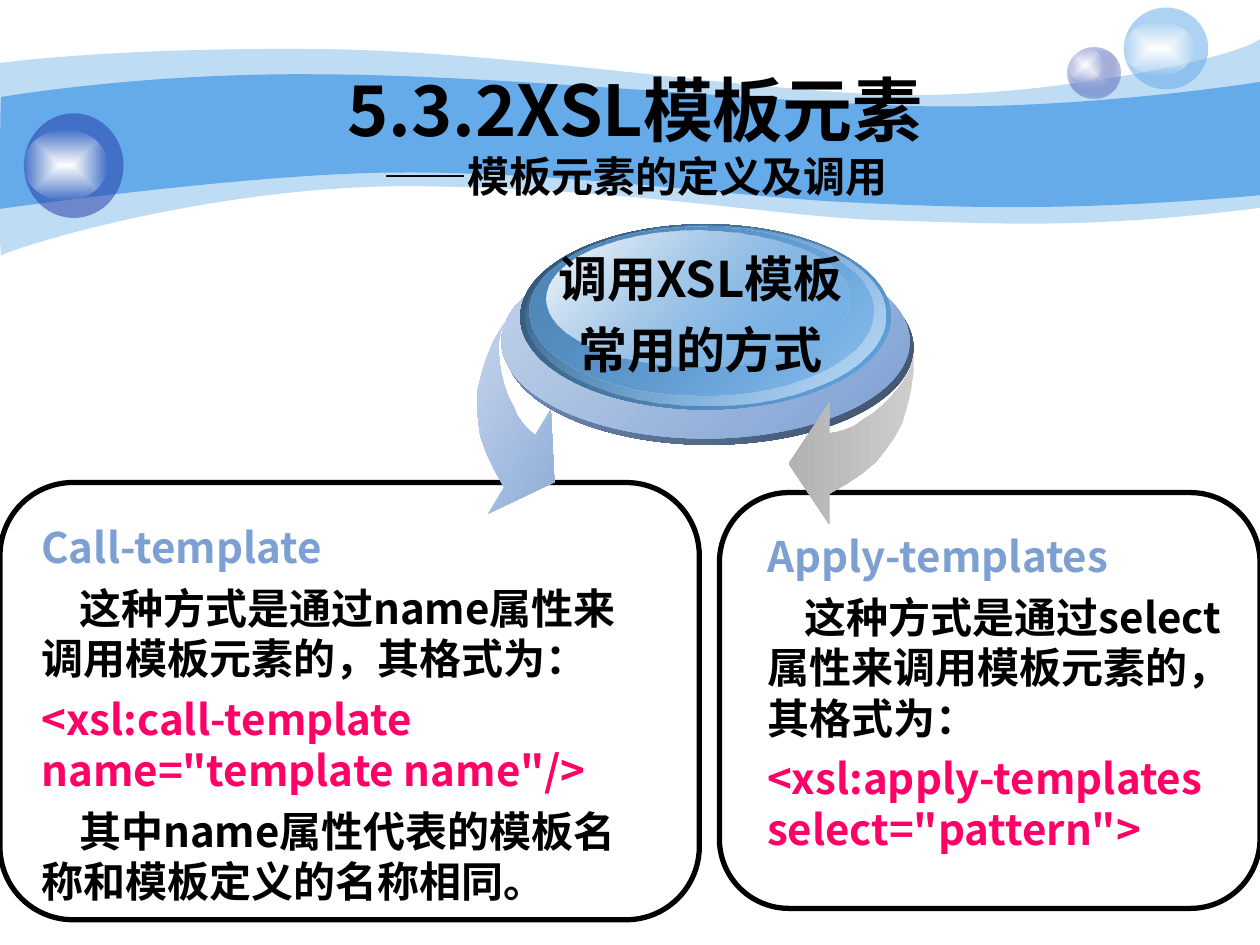
from pptx import Presentation
from pptx.dml.color import RGBColor
from pptx.enum.shapes import MSO_SHAPE as Shape
from pptx.enum.text import MSO_ANCHOR as Anchor, PP_ALIGN as Align
from pptx.oxml import parse_xml
from pptx.oxml.ns import nsdecls, qn
from pptx.util import Inches, Pt

THEME = {
    "font": "Noto Sans CJK SC",
    "sky": "65AAE9", "navy": "233DA9", "lilac": "C6CCE8",
    "white": "FFFFFF", "clear": "FEFEFE", "ink": "000000",
    "heading": "7DA0D3", "code": "FF0066",
    "slate": "3C4D66", "mist": "C4D4EA", "deep": "2E4E6B",
    "pale": "C8E0F6", "steel": "4F86B7", "frost": "D4DFF0",
    "silver": "CDCDCD", "grey": "B2B2B2",
    "title": Pt(40), "lead": Pt(28), "body": Pt(24),
}


def paint(shape, stops, angle=None):
    shape.shadow.inherit = False
    shape.line.fill.background()
    shape.fill.solid()
    colors = [f'<a:srgbClr val="{THEME[name]}"><a:alpha val="{alpha * 1000}"/></a:srgbClr>'
              for name, alpha in stops]
    if len(colors) == 1:
        xml = f'<a:solidFill {nsdecls("a")}>{colors[0]}</a:solidFill>'
    else:
        if angle is None:
            course = ('<a:path path="rect"><a:fillToRect l="50000" t="50000" '
                      'r="50000" b="50000"/></a:path>')
        else:
            course = f'<a:lin ang="{angle * 60000}" scaled="0"/>'
        marks = "".join(f'<a:gs pos="{position}">{color}</a:gs>'
                        for position, color in zip((0, 100000), colors))
        xml = (f'<a:gradFill {nsdecls("a")} rotWithShape="1">'
               f'<a:gsLst>{marks}</a:gsLst>{course}</a:gradFill>')
    properties = shape.element.spPr
    properties.replace(properties.find(qn("a:solidFill")), parse_xml(xml))


def write(para, text, color, size):
    span = para.add_run()
    span.text = text
    for name, value in {"name": THEME["font"], "size": THEME[size], "bold": True}.items():
        setattr(span.font, name, value)
    span.font.color.rgb = RGBColor.from_string(THEME[color])
    asian = parse_xml(f'<a:ea {nsdecls("a")} typeface="{THEME["font"]}"/>')
    span.font._element.find(qn("a:latin")).addnext(asian)


deck = Presentation()
deck.slide_width, deck.slide_height = Inches(10), Inches(7.5)
page = deck.slides.add_slide(deck.slide_layouts[5])
shapes = page.shapes

waves = [
    (41, (0, 0.5), [
        [(0.24, 0.47), (1.07, 0.38), (2.47, 0.39)],
        [(3.86, 0.39), (5.75, 0.7), (6.99, 0.75)],
        [(8.22, 0.8), (9.8, 0.47), (10, 0.31)],
        [(10, 1.65)],
        [(8.58, 1.83), (7.87, 1.77), (7.05, 1.75)],
        [(6.22, 1.73), (5.15, 1.51), (3.43, 1.48)],
        [(1.72, 1.44), (0.04, 1.99), (0.01, 2.03)],
        [(-0.01, 2.08), (0, 0.75), (0, 0.5)]]),
    (100, (0.01, 0.77), [
        [(0.02, 0.77), (1.1, 0.58), (2.48, 0.59)],
        [(3.86, 0.59), (5.95, 0.8), (7.18, 0.84)],
        [(8.41, 0.88), (9.76, 0.69), (10, 0.65)],
        [(10, 1.55)],
        [(8.53, 1.68), (7.65, 1.65), (6.82, 1.61)],
        [(5.99, 1.58), (4.47, 1.36), (3.17, 1.37)],
        [(2.03, 1.37), (-0.02, 1.66), (-0.01, 1.66)],
        [(0, 1.66), (0, 0.77), (0.01, 0.77)]]),
]
for alpha, start, segments in waves:
    builder = shapes.build_freeform(*map(Inches, start))
    builder.add_line_segments([(Inches(x), Inches(y)) for segment in segments
                               for x, y in segment])
    wave = builder.convert_to_shape()
    lines = iter(list(wave.element.iter(qn("a:lnTo"))))
    for segment in segments:
        group = [next(lines) for point in segment]
        if len(group) == 3:
            curve = parse_xml(f'<a:cubicBezTo {nsdecls("a")}/>')
            group[0].addprevious(curve)
            for line in group:
                curve.append(line[0])
                line.getparent().remove(line)
    paint(wave, [("sky", alpha)])

glow = [("white", 100), ("clear", 0)]
ellipses = [
    ((8.47, 0.38, 0.42, 0.4), [("lilac", 100), ("navy", 31)], None),
    ((8.47, 0.38, 0.28, 0.27), glow, None),
    ((8.92, 0.06, 0.67, 0.65), [("sky", 53)], None),
    ((8.92, 0.17, 0.56, 0.43), glow, None),
    ((0.19, 0.9, 0.79, 0.83), [("navy", 53)], None),
    ((0.19, 1.03, 0.66, 0.56), glow, None),
    ((4.01, 1.99, 3.24, 1.54), [("slate", 100), ("heading", 100)], 225),
    ((3.98, 1.94, 3.24, 1.54), [("heading", 100), ("mist", 100)], 225),
    ((4.13, 1.78, 2.94, 1.47), [("sky", 100), ("deep", 100)], 225),
    ((4.17, 1.79, 2.86, 1.43), [("pale", 100), ("sky", 0)], 225),
    ((4.2, 1.8, 2.73, 1.34), [("sky", 48), ("steel", 100)], 225),
    ((4.34, 1.83, 2.4, 1.08), [("sky", 38), ("clear", 100)], 225),
]
for bounds, stops, angle in ellipses:
    paint(shapes.add_shape(Shape.OVAL, *map(Inches, bounds)), stops, angle)

title = shapes.title
title.element.getparent().append(title.element)
title.left, title.top, title.width, title.height = map(Inches, (1, 0.75, 8.08, 0.62))
title.text_frame.vertical_anchor = Anchor.MIDDLE
para = title.text_frame.paragraphs[0]
para.alignment = Align.CENTER
write(para, "5.3.2XSL模板元素", "ink", "title")
para.add_line_break()
write(para, "——模板元素的定义及调用", "ink", "body")

for bounds in ((0, 3.83, 5.55, 3.47), (5.71, 3.91, 4.29, 3.3)):
    panel = shapes.add_shape(Shape.ROUNDED_RECTANGLE, *map(Inches, bounds))
    panel.adjustments[0] = 0.167
    panel.shadow.inherit = False
    panel.fill.background()
    panel.line.color.rgb = RGBColor.from_string(THEME["ink"])
    panel.line.width = Pt(3)

texts = [
    ((4.24, 1.92, 2.64, 1.7), False, Align.CENTER, 7, "lead", [
        ("调用XSL模板", "ink", 0),
        ("常用的方式", "ink", 0)]),
    ((0.23, 4.09, 4.95, 3.15), True, Align.LEFT, 6, "body", [
        ("Call-template", "heading", 0),
        ("这种方式是通过name属性来调用模板元素的，其格式为：", "ink", 0.3),
        ('<xsl:call-template name="template name"/>', "code", 0),
        ("其中name属性代表的模板名称和模板定义的名称相同。", "ink", 0.3)]),
    ((5.99, 4.16, 3.83, 3.07), True, Align.LEFT, 6, "body", [
        ("Apply-templates", "heading", 0),
        ("这种方式是通过select属性来调用模板元素的，其格式为：", "ink", 0.3),
        ('<xsl:apply-templates select="pattern">', "code", 0)]),
]
for bounds, wrap, alignment, gap, size, lines in texts:
    frame = shapes.add_textbox(*map(Inches, bounds)).text_frame
    frame.word_wrap = wrap
    for index, (text, color, indent) in enumerate(lines):
        para = frame.add_paragraph() if index else frame.paragraphs[0]
        para.alignment = alignment
        para.space_before = Pt(gap if index else 0)
        if indent:
            para._p.get_or_add_pPr().set("indent", str(Inches(indent)))
        write(para, text, color, size)

arrow = [
    (7.25, 2.81), (7.25, 2.96), (7.23, 3.1), (7.2, 3.23), (7.16, 3.36), (7.1, 3.47),
    (7.03, 3.57), (6.95, 3.67), (6.84, 3.76), (6.72, 3.84), (6.58, 3.92), (6.58, 4.16),
    (6.26, 3.68), (6.58, 3.2), (6.58, 3.44), (6.64, 3.43), (6.71, 3.41), (6.78, 3.38),
    (6.85, 3.33), (6.93, 3.28), (7, 3.22), (7.06, 3.16), (7.12, 3.09), (7.17, 3.02),
    (7.21, 2.95), (7.24, 2.87),
]
mirrored = [(10.83 - x, y - 0.08) for x, y in arrow]
for outline, stops, angle, rotation in (
        (arrow, [("silver", 100), ("grey", 100)], 180, 0),
        (mirrored, [("frost", 100), ("heading", 100)], 0, 30.9)):
    corners = [(Inches(x), Inches(y)) for x, y in outline]
    builder = shapes.build_freeform(*corners[0])
    builder.add_line_segments(corners[1:], close=True)
    shape = builder.convert_to_shape()
    shape.rotation = rotation
    paint(shape, stops, angle)

deck.save("out.pptx")
